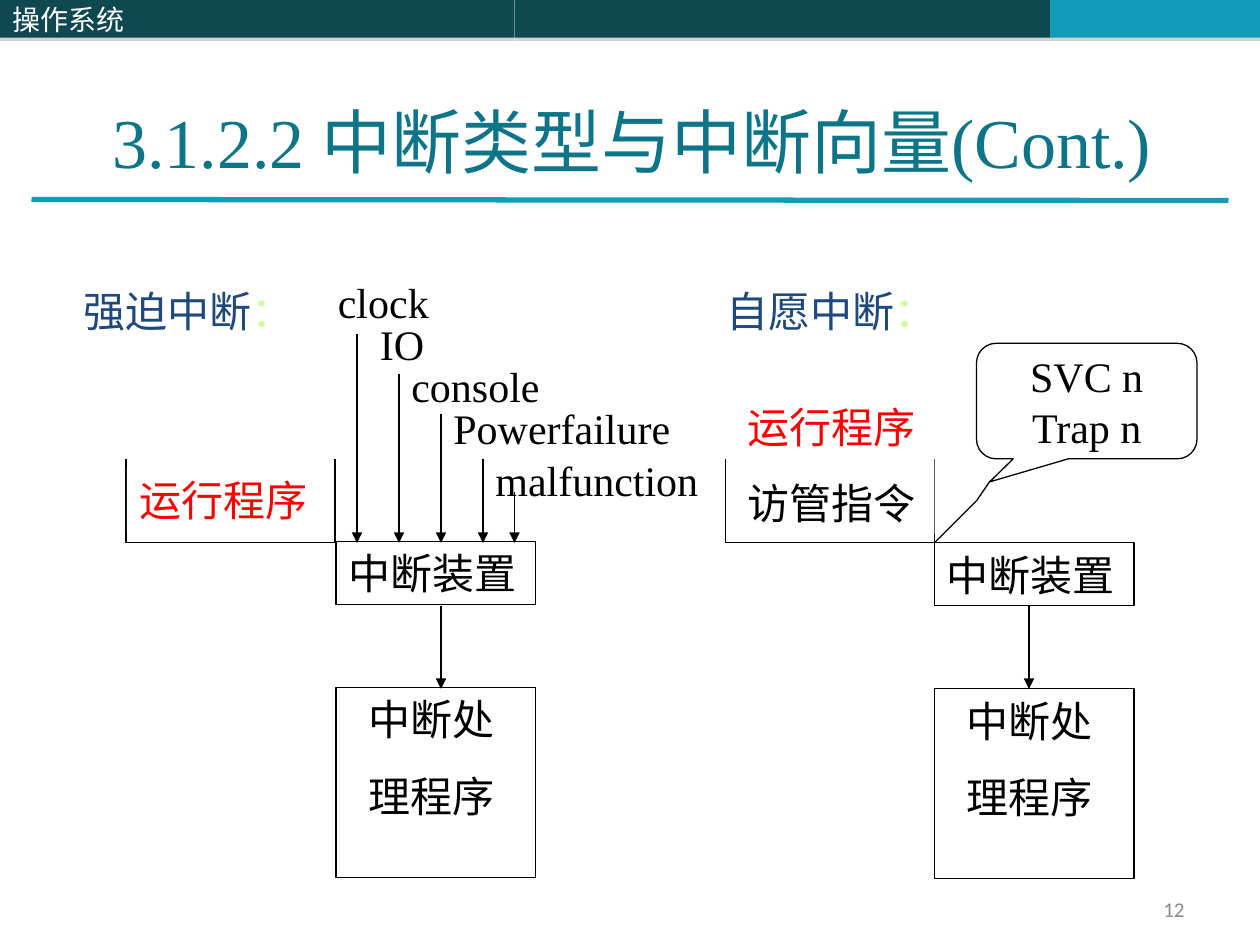
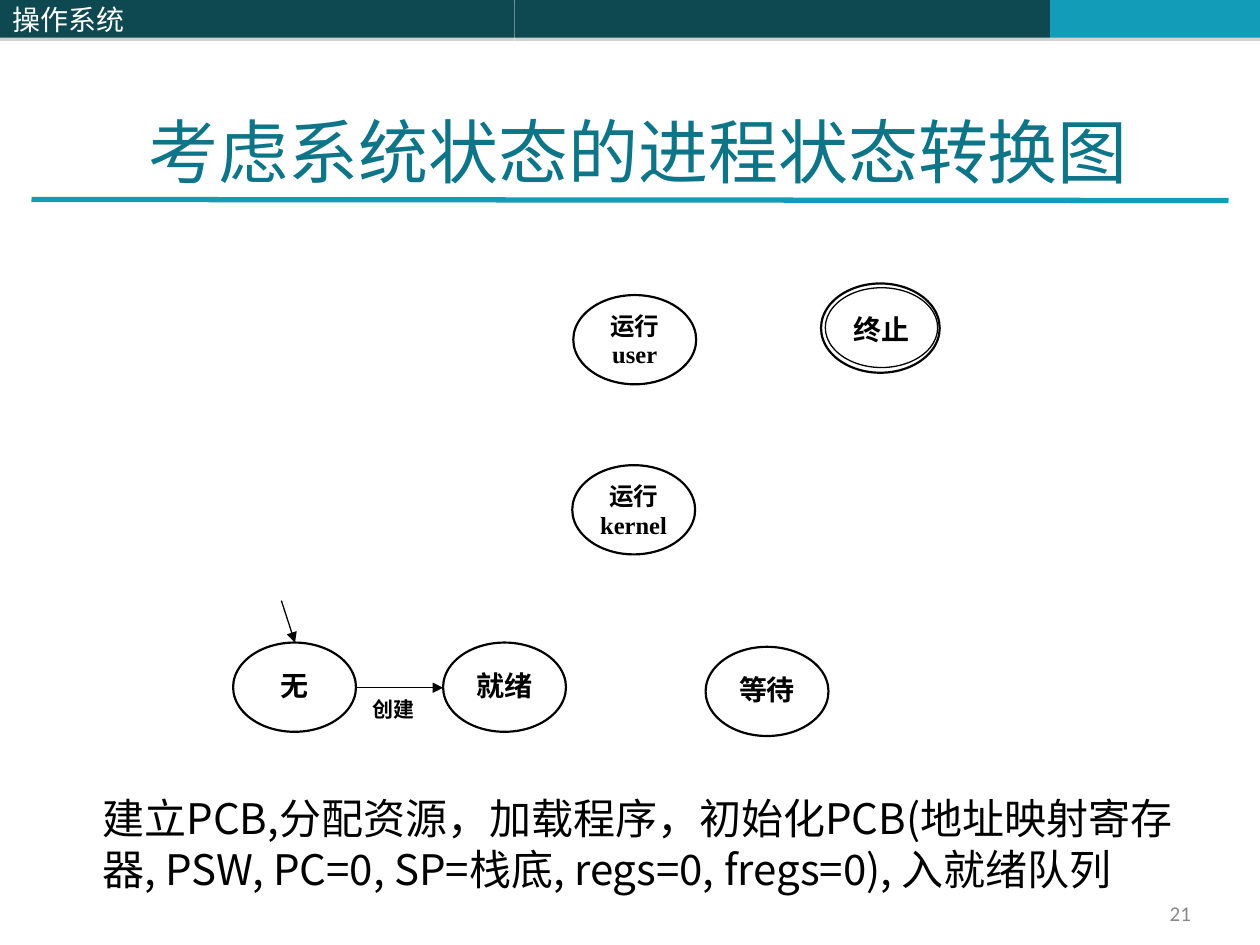
from lxml import etree
from pptx import Presentation
from pptx import util as u
from pptx.dml.color import RGBColor
from pptx.enum import shapes, text
from pptx.oxml import ns

TEAL_DARK = RGBColor(0x0E, 0x48, 0x51)
TEAL = RGBColor(0x13, 0x9C, 0xB7)
TITLE_TEAL = RGBColor(0x0E, 0x75, 0x89)
NAVY = RGBColor(0x1F, 0x49, 0x7D)
LIME = RGBColor(0xCC, 0xFF, 0x99)
RED = RGBColor(0xFF, 0x00, 0x00)
GREY = RGBColor(0x89, 0x89, 0x89)
BLACK = RGBColor(0, 0, 0)
WHITE = RGBColor(0xFF, 0xFF, 0xFF)

SERIF, SANS, NUMBER = "Times New Roman", "Noto Sans CJK SC", "Calibri"
COLUMNS, ROWS = 120, 90
SHAPE, ALIGN, ANCHOR = shapes.MSO_SHAPE, text.PP_ALIGN, text.MSO_ANCHOR


def sub(parent, tag, **attributes):
    return etree.SubElement(parent, ns.qn(tag), attributes)


class Deck:
    """Slide style and current slide; lengths are grid columns and rows."""

    def __init__(self):
        self.prs = Presentation()
        self.prs.slide_width, self.prs.slide_height = u.Inches(10), u.Inches(7.5)
        self.slide = None

    def x(self, columns):
        return round(self.prs.slide_width * columns / COLUMNS)

    def y(self, rows):
        return round(self.prs.slide_height * rows / ROWS)

    def area(self, left, top, width, height):
        return self.x(left), self.y(top), self.x(width), self.y(height)

    def new_slide(self):
        self.slide = self.prs.slides.add_slide(self.prs.slide_layouts[6])
        self.band(49, 51, TEAL_DARK)
        self.band(100, 20, TEAL)
        course = self.band(0, 49, TEAL_DARK)
        self.put_text(course, ["操作系统"], size=16, font=SANS, color=WHITE,
                      anchor=ANCHOR.MIDDLE)
        self.line((3, 19), (117, 19.1), TEAL, 3)

    def band(self, left, width, color):
        band = self.shape(SHAPE.RECTANGLE, (left, 0, width, 3.6), color, None)
        effects = band._element.spPr.find(ns.qn("a:effectLst"))
        shadow = sub(effects, "a:outerShdw", dist="22860", dir="5400000",
                     algn="ctr", rotWithShape="0")
        tint = sub(shadow, "a:srgbClr", val="808080")
        sub(tint, "a:alpha", val="35000")
        return band

    def shape(self, kind, area, fill=WHITE, line=BLACK, weight=0.75):
        shape = self.slide.shapes.add_shape(kind, *self.area(*area))
        self.paint(shape, fill, line, weight)
        return shape

    def paint(self, shape, fill, line, weight=0.75):
        shape.shadow.inherit = False
        if fill is None:
            shape.fill.background()
        else:
            shape.fill.solid()
            shape.fill.fore_color.rgb = fill
        if line is None:
            shape.line.fill.background()
        else:
            shape.line.color.rgb = line
            shape.line.width = u.Pt(weight)

    def outline(self, points):
        corners = [(self.x(px), self.y(py)) for px, py in points]
        builder = self.slide.shapes.build_freeform(*corners[0])
        builder.add_line_segments(corners[1:], close=False)
        self.paint(builder.convert_to_shape(), None, BLACK)

    def line(self, start, end, color=BLACK, weight=0.75, arrow=False):
        line = self.slide.shapes.add_connector(
            shapes.MSO_CONNECTOR.STRAIGHT, self.x(start[0]), self.y(start[1]),
            self.x(end[0]), self.y(end[1]))
        line.line.color.rgb = color
        line.line.width = u.Pt(weight)
        properties = line._element.spPr
        if arrow:
            sub(properties.get_or_add_ln(), "a:tailEnd", type="triangle")
        sub(properties, "a:effectLst")

    def label(self, area, paragraphs, **style):
        box = self.slide.shapes.add_textbox(*self.area(*area))
        self.put_text(box, paragraphs, **style)

    def put_text(self, shape, paragraphs, size=24, font=SERIF, color=BLACK,
                 bold=False, align=ALIGN.LEFT, anchor=ANCHOR.TOP,
                 insets=(0.1, 0.05, 0.1, 0.05), gap=0, indent=0, spacing=None):
        """A paragraph is a string or a list of (string, colour) runs."""
        frame = shape.text_frame
        frame.word_wrap = True
        frame.vertical_anchor = anchor
        (frame.margin_left, frame.margin_top,
         frame.margin_right, frame.margin_bottom) = map(u.Inches, insets)
        for index, runs in enumerate(paragraphs):
            paragraph = frame.add_paragraph() if index else frame.paragraphs[0]
            paragraph.alignment = align
            if index and gap:
                paragraph.space_before = u.Pt(gap)
            if spacing:
                paragraph.line_spacing = spacing
            if indent:
                paragraph._p.get_or_add_pPr().set("marL", str(self.x(indent)))
            for words, tint in [(runs, color)] if isinstance(runs, str) else runs:
                run = paragraph.add_run()
                run.text = words
                run.font.size, run.font.bold = u.Pt(size), bold
                run.font.name, run.font.color.rgb = font, tint
                sub(run._r.get_or_add_rPr(), "a:ea", typeface=SANS)

    def title(self, area, words, anchor=ANCHOR.TOP):
        self.label(area, [words], size=40, color=TITLE_TEAL, anchor=anchor)

    def page_number(self, left, top, number):
        self.label((left, top, 28, 3.2), [number], size=12, font=NUMBER,
                   color=GREY, align=ALIGN.RIGHT, anchor=ANCHOR.MIDDLE)

    def box(self, area, paragraphs, line=BLACK, **style):
        self.put_text(self.shape(SHAPE.RECTANGLE, area, WHITE, line),
                      paragraphs, gap=15, **style)

    def state(self, area, paragraphs, size=16, weight=1.25):
        one_line = len(paragraphs) == 1
        insets = (0.04, 0.12, 0.04, 0.08) if one_line else (0.04,) * 4
        self.put_text(self.shape(SHAPE.OVAL, area, weight=weight), paragraphs,
                      size=size, bold=True, align=ALIGN.CENTER, insets=insets,
                      spacing=0.96)


def interrupt_types(deck):
    deck.new_slide()
    deck.page_number(86, 85, "12")
    deck.title((9.5, 3, 110, 15), "3.1.2.2 中断类型与中断向量(Cont.)", ANCHOR.BOTTOM)

    # Running programs, open at the top
    floor = 51.7
    for left in (12, 69.1):
        right = left + 19.9
        deck.outline([(left, 43.7), (left, floor), (right, floor), (right, 43.7)])
    deck.box((70, 37.6, 19, 13.3),
             [[("运行程序", RED)], [("访管指令", BLACK)]], line=None)
    deck.box((12.1, 44.6, 19, 6), ["运行程序"], line=None, color=RED)

    # Interrupt device and its handler, on both sides
    for left, top, arrow in ((32, 51.6, 42), (89, floor, 98)):
        deck.box((left, top, 19, 6), ["中断装置"])
        deck.box((left, top + 13.9, 19, 18.1), ["中断处", "理程序"], indent=1.9)
        deck.line((arrow, 57.7), (arrow, 65.6), arrow=True)

    # Interrupt sources: name, label left, top, width, arrow column, arrow start
    sources = [("clock", 31, 25.7, 12, 34, 31.8),
               ("IO", 35, 29.7, 8, 38, 35.6),
               ("console", 38, 33.7, 17, 42, 39.4),
               ("Powerfailure", 42, 37.7, 26, 46, 43.7),
               ("malfunction", 46, 42.7, 24, 49, 46.9)]
    for name, left, top, width, column, start in sources:
        deck.line((column, start), (column, floor), arrow=True)
        deck.label((left, top, width, 6), [name])

    # Headings of the two kinds
    for left, kind in ((6.8, "强迫中断"), (68, "自愿中断")):
        deck.label((left, 26.6, 23, 6), [[(kind, NAVY), ("：", LIME)]])

    # Trap instructions with their pointer
    traps = deck.shape(SHAPE.ROUNDED_RECTANGULAR_CALLOUT, (93, 32.7, 21, 11), None)
    for index, value in enumerate((-0.44, 0.7, 0.17)):
        traps.adjustments[index] = value
    deck.put_text(traps, ["SVC n", "Trap n"], align=ALIGN.CENTER,
                  anchor=ANCHOR.MIDDLE)
    deck.line((93, 47.7), (89, floor))
    deck.line((94.3, 45.8), (93, 47.7))


def process_states(deck):
    deck.new_slide()
    deck.title((13, 9.7, 98.6, 9.2), "考虑系统状态的进程状态转换图")

    # States
    width, height = 11.7, 8.5
    for left, top, mode in ((54.6, 28.1, "user"), (54.5, 44.3, "kernel")):
        deck.state((left, top, width, height), ["运行", mode], size=14)
    for left, top, name in ((67.2, 61.6, "等待"), (42.2, 61.2, "就绪"),
                            (22.2, 61.2, "无")):
        deck.state((left, top, width, height), [name])
    deck.state((78.6, 27.4, 10.7, 7.6), ["终止"], weight=0.75)
    deck.shape(SHAPE.OVAL, (78.2, 27, 11.3, height), None, weight=1.25)

    # Transitions
    deck.line((33.9, 65.5), (42.2, 65.5), arrow=True)
    deck.line((26.8, 57.2), (28.1, 61.2), arrow=True)
    deck.box((35.2, 66.2, 5.8, 4), ["创建"], line=WHITE, size=12, bold=True,
             insets=(0.02, 0.01, 0.02, 0.01))

    # Work done on creation
    deck.label((8.6, 74.9, 107.5, 15),
               ["建立PCB,分配资源，加载程序，初始化PCB(地址映射寄存器, PSW, PC=0, "
                "SP=栈底, regs=0, fregs=0), 入就绪队列"], font=SANS)
    deck.page_number(86.6, 85.4, "21")


def main():
    deck = Deck()
    interrupt_types(deck)
    process_states(deck)
    deck.prs.save("out.pptx")


if __name__ == "__main__":
    main()
